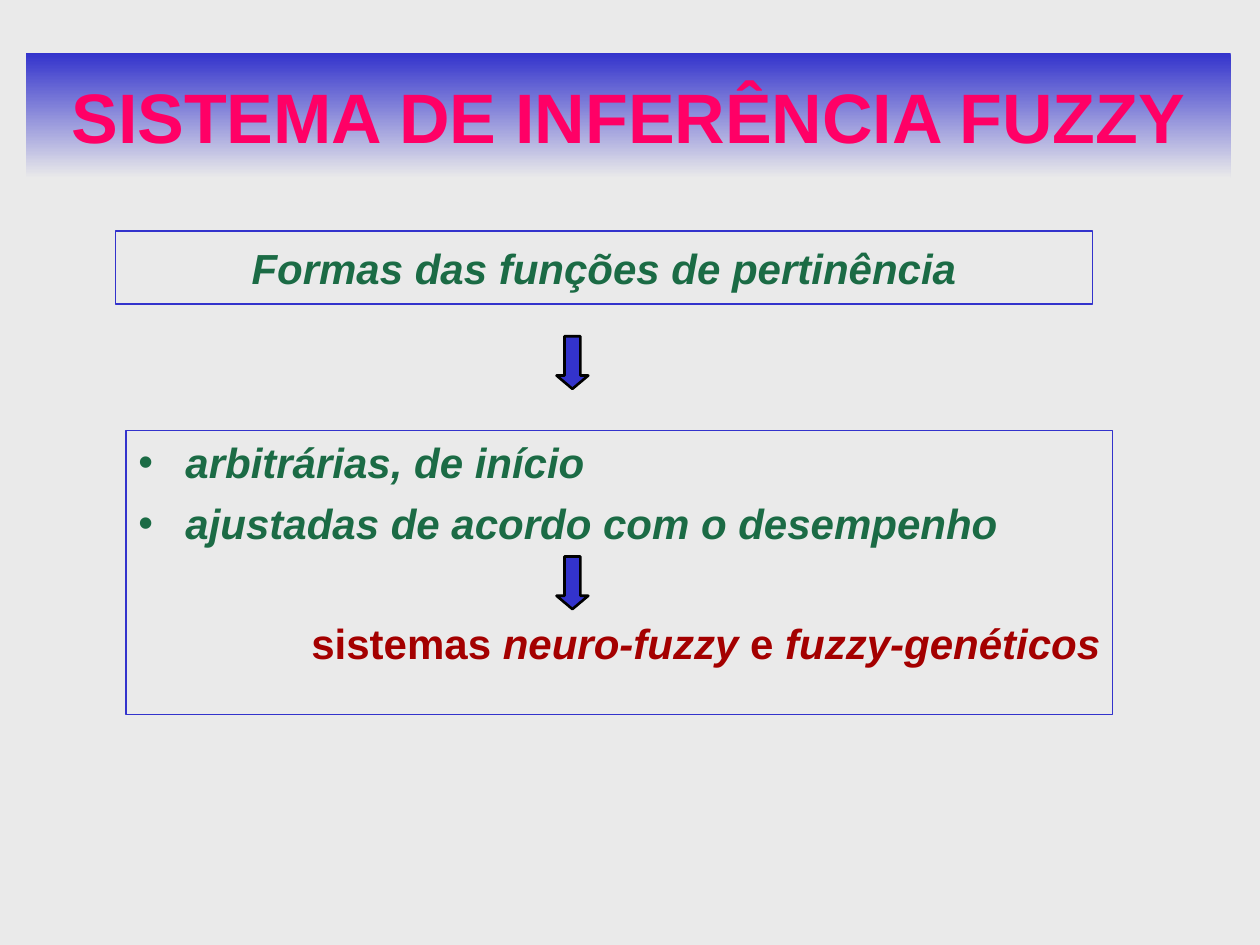
from typing import NamedTuple

from lxml.etree import SubElement
from pptx import Presentation
from pptx.dml.color import RGBColor
from pptx.enum.shapes import MSO_SHAPE
from pptx.enum.text import MSO_ANCHOR, PP_ALIGN
from pptx.oxml.ns import qn
from pptx.util import Cm, Pt

BLUE, GRAY, GREEN, RED, PINK = "3333CC", "EAEAEA", "1B6B45", "A40000", "FF0066"


class Box(NamedTuple):
    left: float
    top: float
    width: float
    height: float


TITLE = Box(0.53, 1.06, 24.28, 2.54)
TOPIC = Box(2.33, 4.66, 19.69, 1.47)
DETAILS = Box(2.54, 8.68, 19.89, 5.72)
ARROWS = [Box(11.22, top, 0.64, 1.06) for top in (6.78, 11.22)]


def rgb(value: str) -> RGBColor:
    return RGBColor.from_string(value)


def add_box(slide, box: Box, line: str | None = None, width: float = 0.75,
            shape=MSO_SHAPE.RECTANGLE):
    sp = slide.shapes.add_shape(shape, *(Cm(v) for v in box))
    sp.shadow.inherit = False
    sp.fill.background()
    if line:
        sp.line.color.rgb = rgb(line)
        sp.line.width = Pt(width)
    else:
        sp.line.fill.background()
    sp.text_frame.word_wrap = True
    sp.text_frame.vertical_anchor = MSO_ANCHOR.TOP
    return sp


def add_text(p, text: str, *, size: float = 24, color: str = GREEN,
             italic: bool = True, align=PP_ALIGN.LEFT) -> None:
    p.alignment = align
    r = p.add_run()
    r.text = text
    r.font.name = "Arial"
    r.font.size = Pt(size)
    r.font.bold = True
    r.font.italic = italic
    r.font.color.rgb = rgb(color)


def add_bullet(p) -> None:
    p_pr = p._p.get_or_add_pPr()
    p_pr.set("marL", str(Cm(0.95)))
    p_pr.set("indent", str(-Cm(0.95)))
    SubElement(p_pr, qn("a:buFont")).set("typeface", "Arial")
    SubElement(p_pr, qn("a:buChar")).set("char", "•")


def add_title(slide) -> None:
    sp = add_box(slide, TITLE)
    sp.fill.gradient()
    sp.fill.gradient_angle = 270
    for stop, color, position in zip(sp.fill.gradient_stops, (BLUE, GRAY), (0, 1)):
        stop.color.rgb = rgb(color)
        stop.position = position
    tf = sp.text_frame
    tf.vertical_anchor = MSO_ANCHOR.MIDDLE
    add_text(tf.paragraphs[0], "SISTEMA DE INFERÊNCIA FUZZY", size=40,
             color=PINK, italic=False, align=PP_ALIGN.CENTER)


def add_topic(slide) -> None:
    p = add_box(slide, TOPIC, BLUE).text_frame.paragraphs[0]
    p.line_spacing = 1.1
    p.space_before = Pt(6)
    add_text(p, "Formas das funções de pertinência", align=PP_ALIGN.CENTER)


def add_details(slide) -> None:
    tf = add_box(slide, DETAILS, BLUE).text_frame
    bullets = ("arbitrárias, de início", "ajustadas de acordo com o desempenho")
    for i, text in enumerate(bullets):
        p = tf.add_paragraph() if i else tf.paragraphs[0]
        p.space_before = Pt(6)
        add_bullet(p)
        add_text(p, text)

    p = tf.add_paragraph()
    p.space_before = Pt(39.5)
    for text, italic in (("sistemas ", False), ("neuro-fuzzy", True),
                         (" e ", False), ("fuzzy-genéticos", True)):
        add_text(p, text, color=RED, italic=italic, align=PP_ALIGN.RIGHT)


def add_arrow(slide, box: Box) -> None:
    sp = add_box(slide, box, "000000", 1.5, MSO_SHAPE.DOWN_ARROW)
    sp.adjustments[0], sp.adjustments[1] = 0.5, 0.42
    sp.fill.solid()
    sp.fill.fore_color.rgb = rgb(BLUE)


def main() -> None:
    prs = Presentation()
    prs.slide_width, prs.slide_height = Cm(25.4), Cm(19.05)
    s = prs.slides.add_slide(prs.slide_layouts[6])
    s.background.fill.solid()
    s.background.fill.fore_color.rgb = rgb(GRAY)
    add_topic(s)
    add_title(s)
    add_details(s)
    for box in ARROWS:
        add_arrow(s, box)
    prs.save("out.pptx")


if __name__ == "__main__":
    main()
